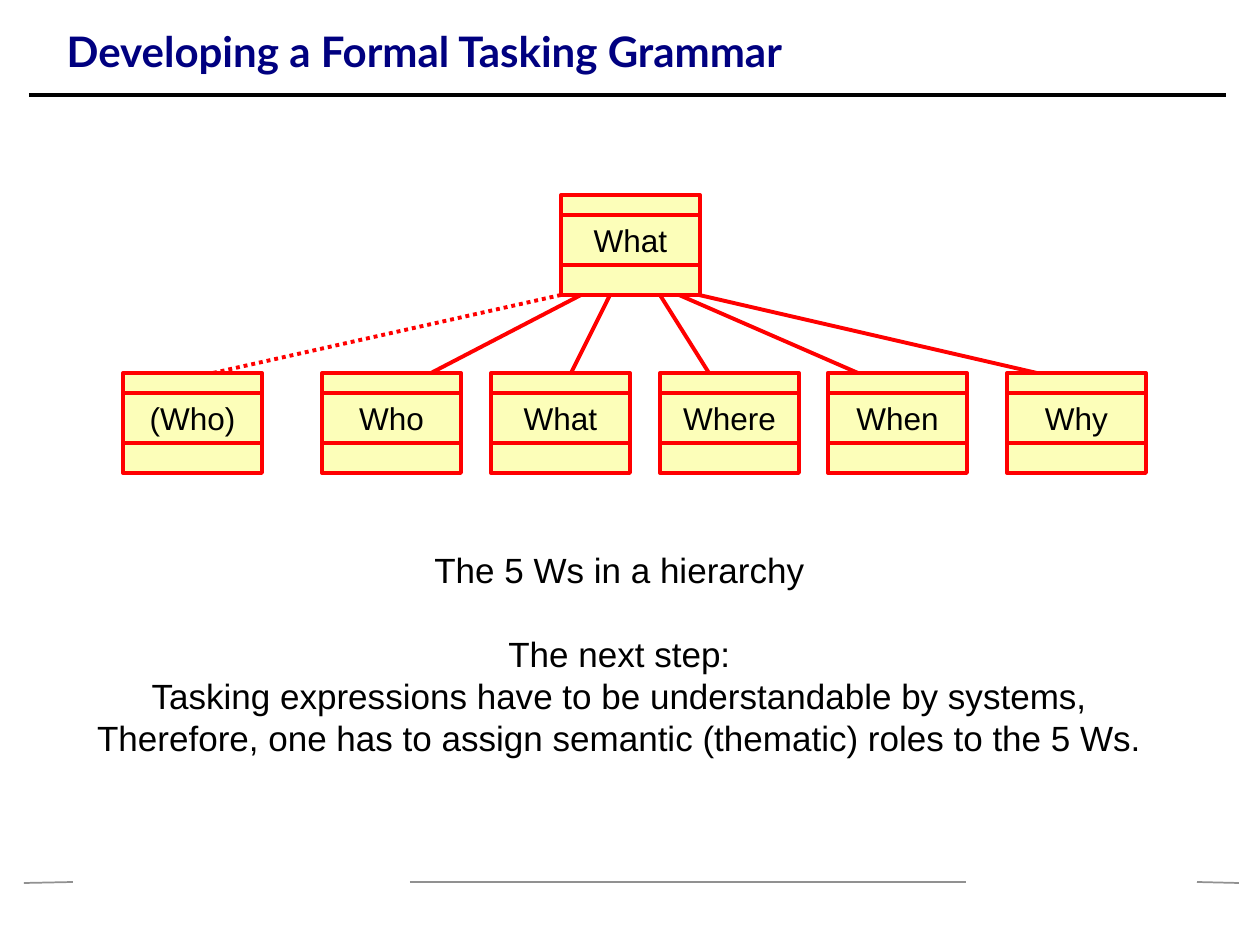
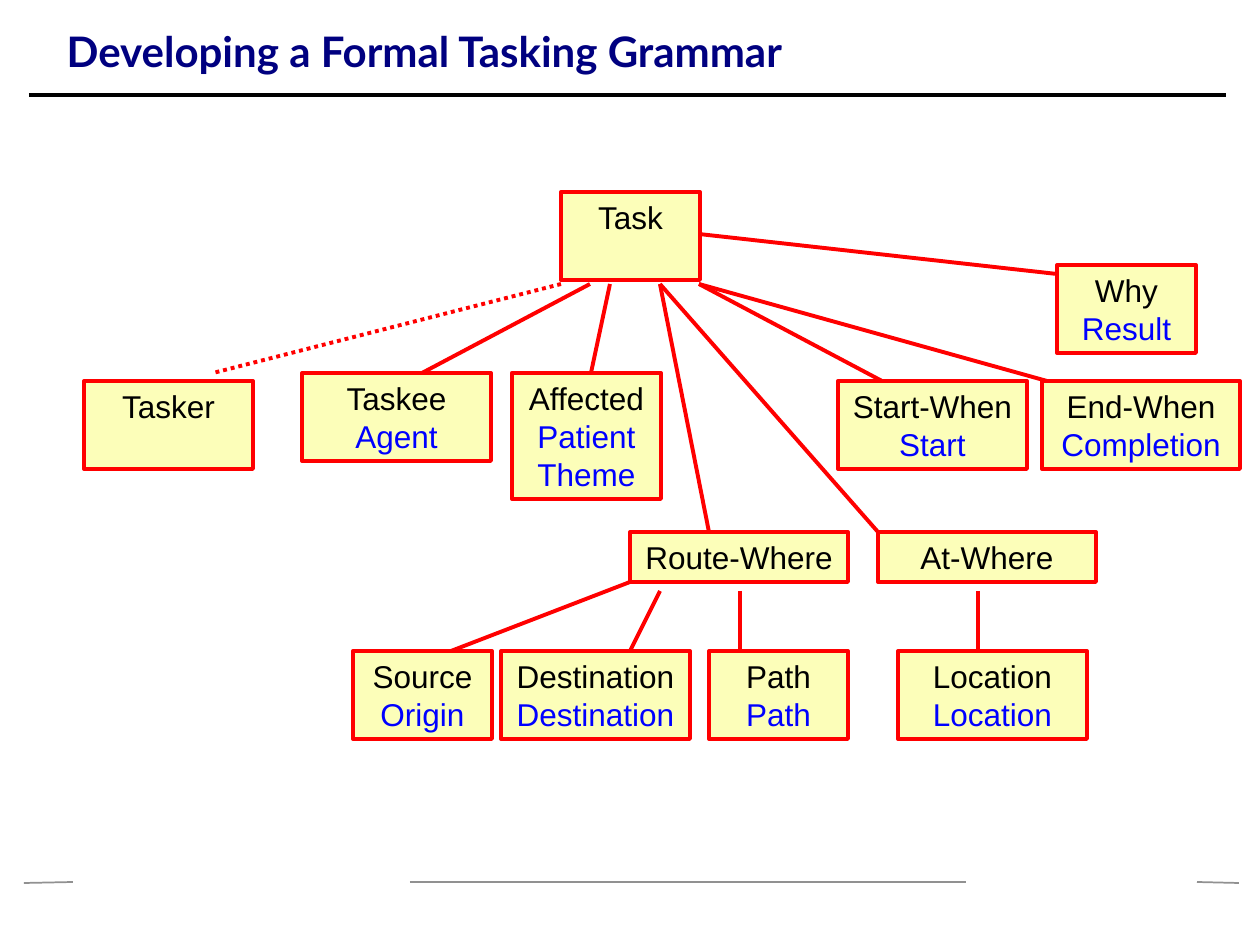
"""Build two slides on a formal tasking grammar: the 5 Ws and their thematic roles."""
from typing import NamedTuple

from lxml.etree import SubElement
from pptx import Presentation
from pptx.dml.color import RGBColor
from pptx.enum.dml import MSO_LINE
from pptx.enum.shapes import MSO_CONNECTOR, MSO_SHAPE
from pptx.enum.text import MSO_ANCHOR, MSO_AUTO_SIZE, PP_ALIGN
from pptx.oxml.ns import qn
from pptx.shapes.autoshape import Shape
from pptx.slide import Slide
from pptx.text.text import TextFrame
from pptx.util import Emu, Pt

PX_PER_INCH = 126
COLORS = {
    "title": "000080",
    "text": "000000",
    "role": "0000FF",
    "card": "FCFEB9",
    "edge": "FF0000",
    "rule": "000000",
    "footer": "919191",
}
TITLE = "Developing a Formal Tasking Grammar"
CARD_W, CARD_H = 139, 100
BAND_OFFSET, BAND_H = 20, 50
ROOT_X, ROOT_Y, W_ROW_Y = 561, 195, 373
ROLE_H = 88


class Box(NamedTuple):
    """Place and size in px."""
    x: int
    y: int
    w: int
    h: int


class Rule(NamedTuple):
    """Straight line in px with its look."""
    x1: int
    y1: int
    x2: int
    y2: int
    color: str = "edge"
    points: float = 2.25
    dotted: bool = False


class Question(NamedTuple):
    """Child of the 5 Ws root with both ends of its branch."""
    word: str
    x: int
    root_end: int
    child_end: int
    optional: bool = False


class Concept(NamedTuple):
    """Task concept with the thematic roles listed below it."""
    name: str
    box: Box
    roles: tuple[str, ...] = ()


class Style(NamedTuple):
    """Font settings for a run."""
    font: str
    size: int
    color: str
    bold: bool = False


TITLE_STYLE = Style("Lato", 24, "title", bold=True)
CARD_STYLE = Style("Arial", 18, "text")
ROLE_STYLE = Style("Arial", 18, "role")
BODY_STYLE = Style("Arial", 20, "text")

FRAME_RULES = (
    Rule(29, 95, 1226, 95, "rule", 2),
    Rule(24, 883, 73, 882, "footer", 1),
    Rule(410, 882, 966, 882, "footer", 1),
    Rule(1197, 882, 1239, 883, "footer", 1),
)
QUESTIONS = (
    Question("(Who)", 123, 561, 213, optional=True),
    Question("Who", 322, 581, 431),
    Question("What", 491, 610, 571),
    Question("Where", 660, 660, 709),
    Question("When", 828, 679, 858),
    Question("Why", 1007, 699, 1037),
)
NEXT_STEP = (
    "The next step:",
    "Tasking expressions have to be understandable by systems,",
    "Therefore, one has to assign semantic (thematic) roles to the 5 Ws.",
)
CONCEPTS = (
    Concept("Task", Box(ROOT_X, 192, CARD_W, ROLE_H)),
    Concept("Why", Box(1057, 265, CARD_W, ROLE_H), ("Result",)),
    Concept("Tasker", Box(84, 381, 169, ROLE_H)),
    Concept("Taskee", Box(302, 373, 189, ROLE_H), ("Agent",)),
    Concept("Affected", Box(512, 373, 149, 126), ("Patient", "Theme")),
    Concept("Start-When", Box(838, 381, 189, ROLE_H), ("Start",)),
    Concept("End-When", Box(1042, 381, 198, ROLE_H), ("Completion",)),
    Concept("Route-Where", Box(630, 532, 218, BAND_H)),
    Concept("At-Where", Box(878, 532, 218, BAND_H)),
    Concept("Source", Box(353, 651, CARD_W, ROLE_H), ("Origin",)),
    Concept("Destination", Box(501, 651, 189, ROLE_H), ("Destination",)),
    Concept("Path", Box(709, 651, CARD_W, ROLE_H), ("Path",)),
    Concept("Location", Box(898, 651, 189, ROLE_H), ("Location",)),
)
ROLE_BRANCHES = (
    Rule(561, 284, 213, 373, dotted=True),
    Rule(590, 284, 422, 373),
    Rule(610, 284, 591, 373),
    Rule(660, 284, 709, 532),
    Rule(660, 284, 878, 532),
    Rule(699, 284, 882, 381),
    Rule(699, 284, 1047, 381),
    Rule(699, 234, 1057, 274),
    Rule(630, 582, 451, 651),
    Rule(660, 591, 630, 651),
    Rule(740, 591, 740, 651),
    Rule(978, 591, 978, 651),
)


def px(length: int) -> Emu:
    """Turn px into EMU."""
    return Emu(round(length * 914400 / PX_PER_INCH))


def place(box: Box) -> tuple[Emu, ...]:
    """Turn a box into left, top, width and height."""
    return tuple(px(length) for length in box)


def rgb(name: str) -> RGBColor:
    """Look up a named colour."""
    return RGBColor.from_string(COLORS[name])


def write(frame: TextFrame, lines: list[tuple[str, Style]],
          align: PP_ALIGN = PP_ALIGN.CENTER) -> None:
    """Write one styled paragraph per line."""
    frame.word_wrap = True
    for index, (text, style) in enumerate(lines):
        paragraph = frame.add_paragraph() if index else frame.paragraphs[0]
        paragraph.alignment = align
        run = paragraph.add_run()
        run.text = text
        font = run.font
        font.name, font.size, font.bold = style.font, Pt(style.size), style.bold
        font.color.rgb = rgb(style.color)


def draw_rule(slide: Slide, rule: Rule) -> None:
    """Draw a line without a shadow."""
    ends = (px(end) for end in rule[:4])
    connector = slide.shapes.add_connector(MSO_CONNECTOR.STRAIGHT, *ends)
    connector.line.color.rgb = rgb(rule.color)
    connector.line.width = Pt(rule.points)
    if rule.dotted:
        connector.line.dash_style = MSO_LINE.ROUND_DOT
    SubElement(connector._element.spPr, qn("a:effectLst"))


def draw_card(slide: Slide, box: Box) -> Shape:
    """Draw a yellow card with a red edge."""
    card = slide.shapes.add_shape(MSO_SHAPE.RECTANGLE, *place(box))
    card.shadow.inherit = False
    card.fill.solid()
    card.fill.fore_color.rgb = rgb("card")
    card.line.color.rgb = rgb("edge")
    card.line.width = Pt(2.25)
    card.text_frame.vertical_anchor = MSO_ANCHOR.TOP
    return card


def draw_question(slide: Slide, word: str, x: int, y: int) -> None:
    """Draw a card crossed by a band that holds its word."""
    draw_card(slide, Box(x, y, CARD_W, CARD_H))
    band = draw_card(slide, Box(x, y + BAND_OFFSET, CARD_W, BAND_H))
    write(band.text_frame, [(word, CARD_STYLE)])


def draw_concept(slide: Slide, concept: Concept) -> None:
    """Draw a concept above its blue roles."""
    lines = [(concept.name, CARD_STYLE)]
    lines += [(role, ROLE_STYLE) for role in concept.roles]
    write(draw_card(slide, concept.box).text_frame, lines)


def add_framed_slide(deck: Presentation) -> Slide:
    """Add a slide with the shared title and rules."""
    slide = deck.slides.add_slide(deck.slide_layouts[5])
    for rule in FRAME_RULES:
        draw_rule(slide, rule)
    title = slide.shapes.title
    title.left, title.top, title.width, title.height = place(Box(54, 10, 1134, 81))
    title.text_frame.auto_size = MSO_AUTO_SIZE.NONE
    title.text_frame.vertical_anchor = MSO_ANCHOR.MIDDLE
    write(title.text_frame, [(TITLE, TITLE_STYLE)], PP_ALIGN.LEFT)
    return slide


def build_hierarchy(deck: Presentation) -> None:
    """Build the slide with the 5 Ws in a hierarchy."""
    slide = add_framed_slide(deck)
    draw_question(slide, "What", ROOT_X, ROOT_Y)
    for question in QUESTIONS:
        draw_question(slide, question.word, question.x, W_ROW_Y)
        draw_rule(slide, Rule(question.root_end, ROOT_Y + CARD_H, question.child_end,
                              W_ROW_Y, dotted=question.optional))
    summary = slide.shapes.add_textbox(*place(Box(34, 542, 1171, 307))).text_frame
    lines = ("The 5 Ws in a hierarchy", *NEXT_STEP)
    write(summary, [(line, BODY_STYLE) for line in lines])
    summary.paragraphs[1].space_before = Pt(24)


def build_roles(deck: Presentation) -> None:
    """Build the slide with thematic roles assigned to the task."""
    slide = add_framed_slide(deck)
    for concept in CONCEPTS:
        draw_concept(slide, concept)
    for branch in ROLE_BRANCHES:
        draw_rule(slide, branch)


def main() -> None:
    """Build and save the deck."""
    deck = Presentation()
    deck.slide_width, deck.slide_height = px(1260), px(945)
    build_hierarchy(deck)
    build_roles(deck)
    deck.save("out.pptx")


if __name__ == "__main__":
    main()
